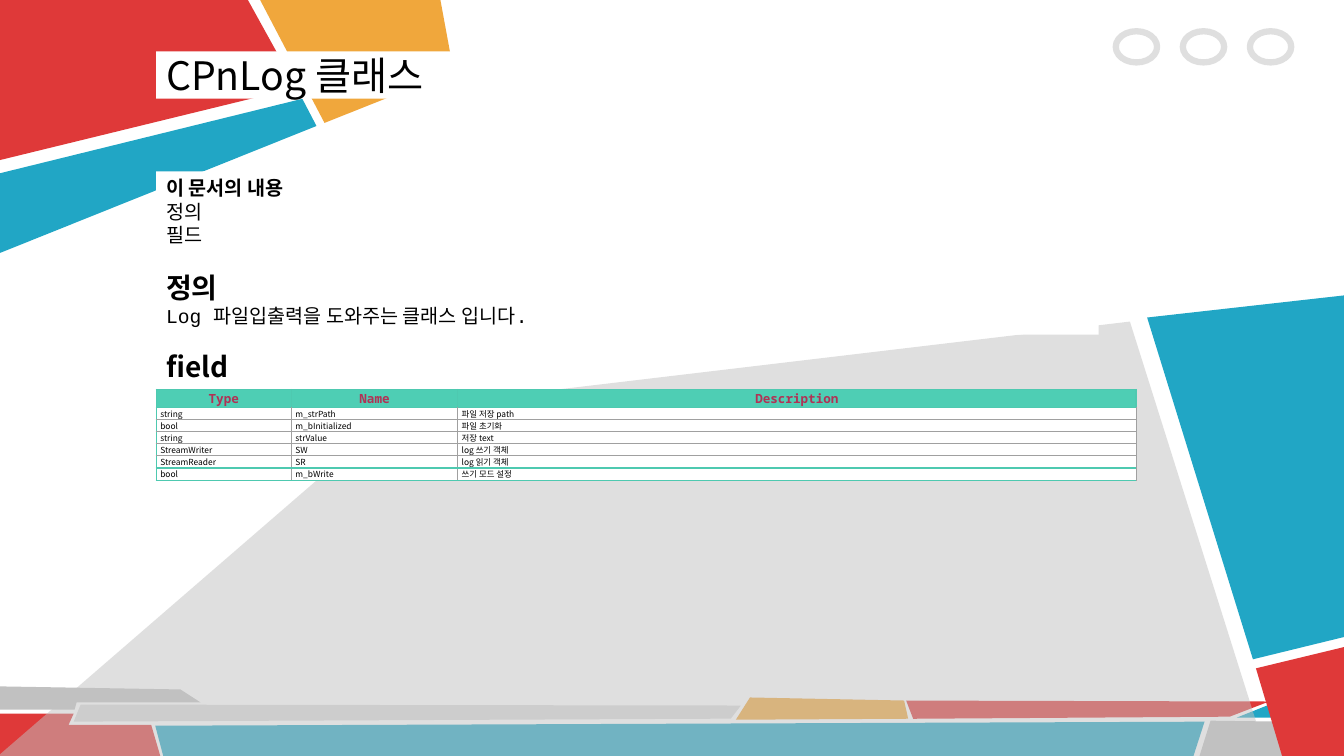
import pptx
import pptx.util
import pptx.dml.color
import pptx.enum.shapes
import pptx.enum.text
import pptx.oxml
import pptx.oxml.ns

Pt = pptx.util.Pt
RGBColor = pptx.dml.color.RGBColor
qn = pptx.oxml.ns.qn

RED = RGBColor(0xDF, 0x39, 0x39)
BLUE = RGBColor(0x21, 0xA6, 0xC5)
ORANGE = RGBColor(0xF0, 0xA7, 0x3C)
GRAY = RGBColor(0xC1, 0xC1, 0xC1)
LIGHT_GRAY = RGBColor(0xDA, 0xDA, 0xDA)
WHITE = RGBColor(0xFF, 0xFF, 0xFF)
BLACK = RGBColor(0, 0, 0)
MINT = RGBColor(0x4E, 0xCE, 0xB4)
MINT_LINE = RGBColor(0x4E, 0xC9, 0xB0)
GRID_LINE = RGBColor(0xA0, 0xA0, 0xA0)
CRIMSON = RGBColor(0xB1, 0x31, 0x55)

SANS = "Noto Sans CJK KR"
MONO = "Noto Sans Mono"
COURIER = "Courier New"
LEFT = 111.6

# Colour, opacity in percent, corners in points; from back to front
SHARDS = [
    (GRAY, 100, [(0, 490.3), (128.9, 492.5), (143.3, 501.8), (54.7, 501.8),
                 (53.3, 506.9), (0, 506.9)]),
    (RED, 100, [(0, 509.8), (52.6, 509.8), (49, 517.7), (108, 517.7),
                (114.5, 540), (0, 540)]),
    (LIGHT_GRAY, 100, [(57.6, 503.3), (529.2, 504), (522, 513.4), (52.6, 515.5)]),
    (BLUE, 100, [(110.9, 518.4), (860.4, 515.5), (852.5, 540), (116.6, 540)]),
    (ORANGE, 100, [(535.7, 498.2), (645.8, 500.4), (648.7, 513.4), (525.6, 514.1)]),
    (RED, 100, [(647.3, 500.4), (906.5, 501.1), (878.4, 511.9), (652.3, 513.4)]),
    (BLUE, 100, [(912.2, 501.1), (946.1, 501.1), (915.8, 512.6), (883.4, 512.6)]),
    (GRAY, 100, [(864.7, 514.8), (917.3, 515.5), (953.3, 501.1), (960, 501.1),
                 (960, 540), (856.8, 540)]),
    (RED, 100, [(960, 462.2), (960, 540), (915.8, 540), (897.1, 477.4)]),
    (BLUE, 100, [(819.4, 226.8), (960, 211), (960, 455), (895, 470.9)]),
    (GRAY, 50, [(-1.4, 540), (285.8, 291.6), (807.1, 229.7), (905, 540)]),
    (ORANGE, 100, [(185.8, 0), (231.8, 87.8), (324, 51.1), (314.6, 0)]),
    (RED, 100, [(0, 0), (0, 113), (-0.7, 114.5), (211.7, 62.6), (177.1, 0)]),
    (BLUE, 100, [(216, 70.6), (226.1, 90), (0, 180.7), (0, 123.8)]),
]

FIELDS = [
    ("Type", "Name", "Description"),
    ("string", "m_strPath", "파일 저장 path"),
    ("bool", "m_bInitialized", "파일 초기화"),
    ("string", "strValue", "저장 text"),
    ("StreamWriter", "SW", "log 쓰기 객체"),
    ("StreamReader", "SR", "log 읽기 객체"),
    ("bool", "m_bWrite", "쓰기 모드 설정"),
]
COLUMN_WIDTHS = (96.5, 118.8, 484.6)


def set_opacity(fill, percent):
    """Give a solid fill element's colour an alpha value."""
    color = fill.find(qn("a:srgbClr"))
    color.append(pptx.oxml.parse_xml(
        f'<a:alpha {pptx.oxml.ns.nsdecls("a")} val="{percent * 1000}"/>'))


def add_shard(slide, color, opacity, corners):
    # The builder keeps whole units, so one unit is a tenth of a point
    units = [(round(x * 10), round(y * 10)) for x, y in corners]
    builder = slide.shapes.build_freeform(*units[0], scale=Pt(0.1))
    builder.add_line_segments(units[1:], close=True)
    shard = builder.convert_to_shape()
    shard.shadow.inherit = False
    shard.fill.solid()
    shard.fill.fore_color.rgb = color
    shard.line.fill.background()
    if opacity < 100:
        set_opacity(shard._element.spPr.find(qn("a:solidFill")), opacity)


def add_ring(slide, left):
    ring = slide.shapes.add_shape(pptx.enum.shapes.MSO_SHAPE.OVAL,
                                  Pt(left), Pt(22.3), Pt(29.5), Pt(22.3))
    ring.shadow.inherit = False
    ring.fill.background()
    ring.line.color.rgb = GRAY
    ring.line.width = Pt(4.5)
    set_opacity(ring.line._ln.find(qn("a:solidFill")), 50)


def style_paragraph(paragraph, size, bold=False, latin=SANS, color=BLACK):
    """Set the font; Korean letters always take the sans face."""
    font = paragraph.font
    font.size = Pt(size)
    font.bold = bold
    font.color.rgb = color
    font.name = latin
    defaults = paragraph._p.pPr.find(qn("a:defRPr"))
    defaults.find(qn("a:latin")).addnext(pptx.oxml.parse_xml(
        f'<a:ea {pptx.oxml.ns.nsdecls("a")} typeface="{SANS}"/>'))


def add_panel(slide, top, width, height, lines):
    """Add a white text panel; a line is (text, size, bold, latin font, space before)."""
    panel = slide.shapes.add_shape(pptx.enum.shapes.MSO_SHAPE.RECTANGLE,
                                   Pt(LEFT), Pt(top), Pt(width), Pt(height))
    panel.shadow.inherit = False
    panel.fill.solid()
    panel.fill.fore_color.rgb = WHITE
    panel.line.fill.background()
    frame = panel.text_frame
    frame.word_wrap = True
    frame.vertical_anchor = pptx.enum.text.MSO_ANCHOR.TOP
    for index, (text, size, bold, latin, gap) in enumerate(lines):
        paragraph = frame.add_paragraph() if index else frame.paragraphs[0]
        paragraph.text = text
        paragraph.alignment = pptx.enum.text.PP_ALIGN.LEFT
        paragraph.space_before = Pt(gap)
        style_paragraph(paragraph, size, bold, latin)
    return frame


def set_borders(cell, colors):
    """Draw the sides, given as left, right, top and bottom colours."""
    properties = cell._tc.get_or_add_tcPr()
    for position, (side, color) in enumerate(zip("LRTB", colors)):
        width = Pt(1) if color == MINT_LINE else Pt(0.75)
        properties.insert(position, pptx.oxml.parse_xml(
            f'<a:ln{side} {pptx.oxml.ns.nsdecls("a")} w="{width}"><a:solidFill>'
            f'<a:srgbClr val="{color}"/></a:solidFill></a:ln{side}>'))


def fill_cell(cell, text, is_header):
    cell.margin_left = Pt(0 if is_header else 2.9)
    cell.margin_right = cell.margin_top = cell.margin_bottom = Pt(0)
    cell.fill.solid()
    cell.fill.fore_color.rgb = MINT if is_header else WHITE
    cell.text = text
    paragraph = cell.text_frame.paragraphs[0]
    if is_header:
        cell.vertical_anchor = pptx.enum.text.MSO_ANCHOR.MIDDLE
        paragraph.alignment = pptx.enum.text.PP_ALIGN.CENTER
        style_paragraph(paragraph, 9, True, MONO, CRIMSON)
    else:
        style_paragraph(paragraph, 6)


def add_field_table(slide):
    last = len(FIELDS) - 1
    heights = [12.7] + [8.5] * last
    table = slide.shapes.add_table(len(FIELDS), len(COLUMN_WIDTHS), Pt(LEFT), Pt(278.2),
                                   Pt(sum(COLUMN_WIDTHS)), Pt(sum(heights))).table
    for column, width in zip(table.columns, COLUMN_WIDTHS):
        column.width = Pt(width)
    for r, (field, height) in enumerate(zip(FIELDS, heights)):
        table.rows[r].height = Pt(height)
        for c, text in enumerate(field):
            cell = table.cell(r, c)
            fill_cell(cell, text, r == 0)
            mint_sides = (r == 0 or c == 0, r == 0,
                          r in (0, 1, last), r in (0, last - 1, last))
            set_borders(cell, [MINT_LINE if mint else GRID_LINE for mint in mint_sides])


def main():
    presentation = pptx.Presentation()
    presentation.slide_width = Pt(960)
    presentation.slide_height = Pt(540)
    slide = presentation.slides.add_slide(presentation.slide_layouts[6])

    for color, opacity, corners in SHARDS:
        add_shard(slide, color, opacity, corners)
    for index in range(3):
        add_ring(slide, 797 + 47.9 * index)

    title = add_panel(slide, 36.7, 575.3, 33.8, [("CPnLog 클래스", 28, False, SANS, 0)])
    title.paragraphs[0].line_spacing = 0.9
    add_panel(slide, 122.4, 673.2, 116.6, [
        ("이 문서의 내용", 14, True, SANS, 0),
        ("정의", 14, False, SANS, 0),
        ("필드", 14, False, SANS, 0),
        ("정의", 20, True, SANS, 17),
        ("Log 파일입출력을 도와주는 클래스 입니다.", 14, False, COURIER, 0),
    ])
    add_panel(slide, 246.2, 117.4, 31.7, [("field", 20, True, SANS, 0)])
    add_field_table(slide)
    presentation.save("out.pptx")


if __name__ == "__main__":
    main()
